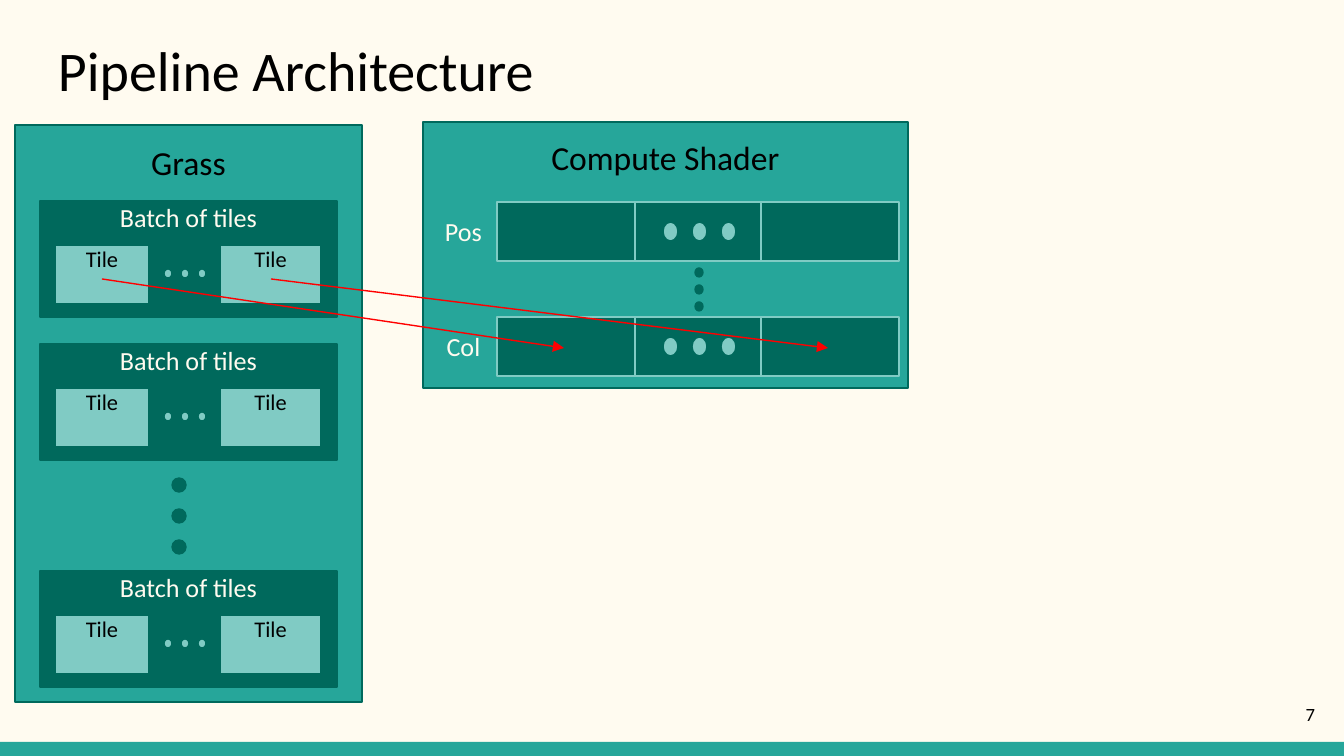
from lxml import etree
from pptx import Presentation
from pptx.dml.color import RGBColor
from pptx.enum.shapes import MSO_CONNECTOR, MSO_SHAPE
from pptx.enum.text import MSO_ANCHOR, PP_ALIGN
from pptx.oxml.ns import qn
from pptx.util import Pt

RECT, OVAL = MSO_SHAPE.RECTANGLE, MSO_SHAPE.OVAL
LEFT, CENTER, RIGHT = PP_ALIGN.LEFT, PP_ALIGN.CENTER, PP_ALIGN.RIGHT
TOP, MIDDLE = MSO_ANCHOR.TOP, MSO_ANCHOR.MIDDLE
STRAIGHT = MSO_CONNECTOR.STRAIGHT
PX = 914400 / 134.4
COLORS = {
    "cream": "FFFBF0",
    "teal": "26A69A",
    "dark": "00695C",
    "pale": "80CBC4",
    "black": "000000",
    "red": "FF0000",
}
RGB = {name: RGBColor.from_string(value) for name, value in COLORS.items()}

prs = Presentation()
prs.slide_width, prs.slide_height = round(1344 * PX), round(756 * PX)
slide = prs.slides.add_slide(prs.slide_layouts[6])
slide.background.fill.solid()
slide.background.fill.fore_color.rgb = RGB["cream"]


def add_block(kind, box, fill, line="dark"):
    block = slide.shapes.add_shape(kind, *(round(n * PX) for n in box))
    block.shadow.inherit = False
    block.fill.solid()
    block.fill.fore_color.rgb = RGB[fill]
    if line:
        block.line.color.rgb = RGB[line]
        block.line.width = Pt(0.75)
    else:
        block.line.fill.background()


def add_label(text, box, size, color="black", align=CENTER, inset=(12, 12), anchor=TOP):
    label = slide.shapes.add_textbox(*(round(n * PX) for n in box))
    frame = label.text_frame
    frame.word_wrap = True
    frame.vertical_anchor = anchor
    side, top = (round(n * PX) for n in inset)
    frame.margin_left = frame.margin_right = frame.margin_bottom = side
    frame.margin_top = top
    paragraph = frame.paragraphs[0]
    paragraph.text = text
    paragraph.alignment = align
    paragraph.font.name = "Calibri"
    paragraph.font.size = Pt(size)
    paragraph.font.color.rgb = RGB[color]


add_block(RECT, (0, 742, 1344, 14), "teal", None)
add_label("Pipeline Architecture", (46, 23, 1253, 90), 30, align=LEFT)

add_block(RECT, (15, 125, 347, 577), "teal")
add_label("Grass", (15, 130, 347, 59), 18)
for batch_top in (201, 344, 571):
    add_block(RECT, (40, batch_top, 297, 116), "dark")
    add_label("Batch of tiles", (40, batch_top, 297, 35), 14, "cream", inset=(12, 0))
    for tile_left, tile_width in ((55, 94), (220, 101)):
        add_block(RECT, (tile_left, batch_top + 44, tile_width, 59), "pale")
        add_label("Tile", (tile_left, batch_top + 44, tile_width, 35), 12, inset=(12, 0))
    for i in range(3):
        add_block(OVAL, (164 + 17 * i, batch_top + 68, 8, 9), "pale")

add_block(RECT, (423, 122, 485, 266), "teal")
add_label("Compute Shader", (423, 125, 485, 59), 18)
for buffer_name, buffer_top in (("Pos", 202), ("Col", 317)):
    add_label(buffer_name, (430, buffer_top + 13, 67, 35), 14, "cream", inset=(0, 0))
    for cell_left, cell_width in ((497, 138), (635, 126), (761, 138)):
        add_block(RECT, (cell_left, buffer_top, cell_width, 59), "dark", "pale")
    for i in range(3):
        add_block(OVAL, (663 + 29 * i, buffer_top + 20, 15, 19), "pale")

for i in range(3):
    add_block(OVAL, (172, 478 + 31 * i, 14, 14), "dark")
    add_block(OVAL, (695, 268 + 17 * i, 8, 9), "dark")

for tile_x, cell_x in ((102, 564), (271, 828)):
    arrow = slide.shapes.add_connector(
        STRAIGHT, *(round(n * PX) for n in (tile_x, 279, cell_x, 348))
    )
    arrow.line.color.rgb = RGB["red"]
    arrow.line.width = Pt(0.75)
    etree.SubElement(arrow.line._get_or_add_ln(), qn("a:tailEnd"), type="triangle")
    etree.SubElement(arrow._element.spPr, qn("a:effectLst"))

add_label("7", (1246, 685, 81, 58), 10, align=RIGHT, anchor=MIDDLE)

prs.save("out.pptx")
